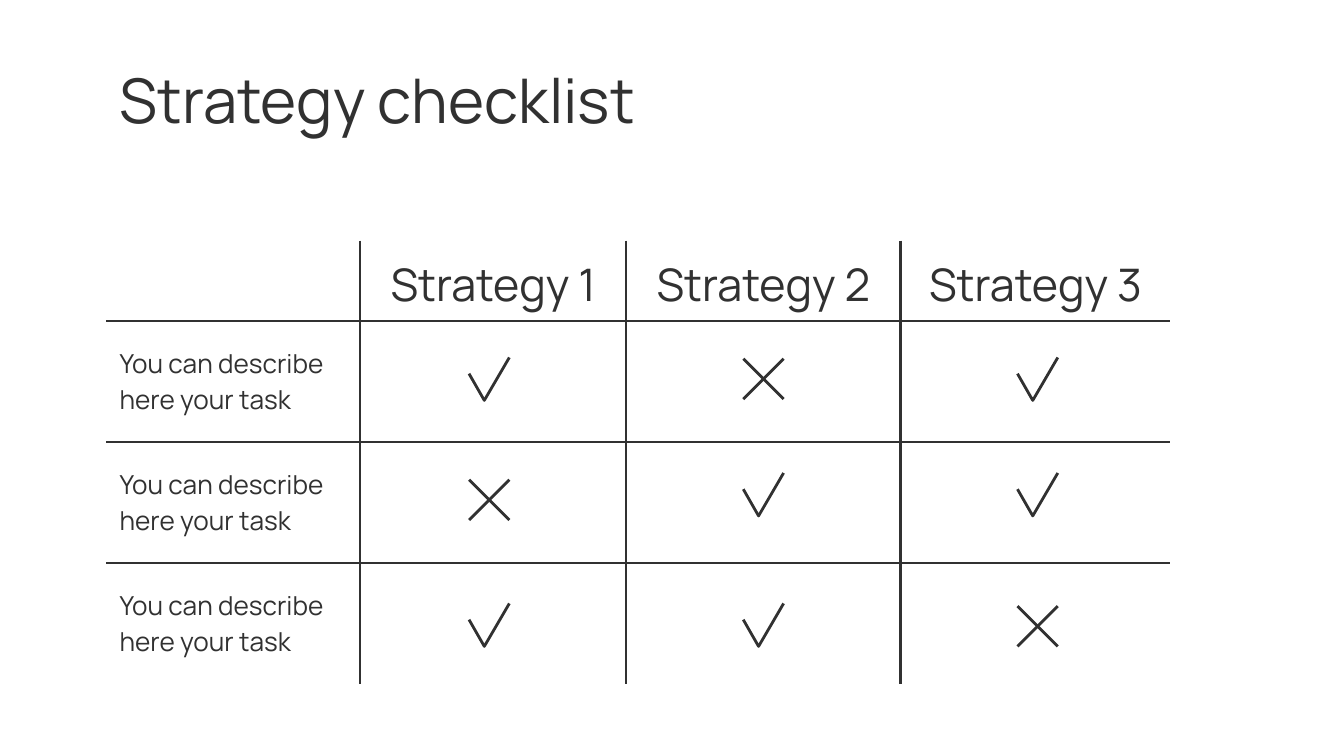
from lxml.etree import SubElement
from pptx import Presentation
from pptx.dml.color import RGBColor
from pptx.enum.shapes import MSO_CONNECTOR
from pptx.enum.text import MSO_ANCHOR, PP_ALIGN
from pptx.oxml.ns import qn
from pptx.util import Pt

COLORS = {"ink": "313131", "paper": "FFFFFF"}
FONT = "Manrope"
LINE_WIDTH = 1.5
INSET = 7.2
NO_STYLE = "{2D5ABB26-0587-4C30-8999-92F81FD0307C}"

TASK = "You can describe here your task"
ROWS = [
    ["", "Strategy 1", "Strategy 2", "Strategy 3"],
    [TASK, "", "", ""],
    [TASK, "", "", ""],
    [TASK, "", "", ""],
]
COLUMN_WIDTHS = [136.1, 142.5, 147, 144.6]
ROW_HEIGHTS = [41.8, 64.8, 64.8, 64.8]

MARK_SIZE = 21.6
MARK_LEFT, MARK_PITCH = 251.3, 146.9
# For each task: top of its ticks, top of its crosses, result per strategy
RESULTS = [
    (191.5, 192.2, [True, False, True]),
    (253.4, 257, [False, True, True]),
    (323.3, 324.7, [True, True, False]),
]


def write(frame, text, size, align=PP_ALIGN.LEFT):
    para = frame.paragraphs[0]
    para.alignment = align
    span = para.add_run()
    span.text = text
    for name, value in {"name": FONT, "size": Pt(size)}.items():
        setattr(span.font, name, value)
    span.font.color.rgb = RGBColor.from_string(COLORS["ink"])


def add_title(page, left, top, width, height):
    box = page.shapes.add_textbox(Pt(left), Pt(top), Pt(width), Pt(height))
    frame = box.text_frame
    formats = {"word_wrap": True, "vertical_anchor": MSO_ANCHOR.MIDDLE}
    formats.update({f"margin_{side}": Pt(INSET) for side in ("left", "right", "top", "bottom")})
    for name, value in formats.items():
        setattr(frame, name, value)
    write(frame, "Strategy checklist", 33)


def add_borders(cell, sides):
    properties = cell._tc.get_or_add_tcPr()
    for side in sides:
        line = SubElement(properties, qn(f"a:ln{side}"), w=str(Pt(LINE_WIDTH)))
        fill = SubElement(line, qn("a:solidFill"))
        SubElement(fill, qn("a:srgbClr"), val=COLORS["ink"])


def add_checklist(page, left, top):
    """Place the table with rules between its cells and none around it."""
    width, height = sum(COLUMN_WIDTHS), sum(ROW_HEIGHTS)
    last_row, last_column = len(ROWS) - 1, len(COLUMN_WIDTHS) - 1
    table = page.shapes.add_table(
        len(ROWS), len(COLUMN_WIDTHS), Pt(left), Pt(top), Pt(width), Pt(height)
    ).table
    table.first_row = table.horz_banding = False
    table._tbl.tblPr.find(qn("a:tableStyleId")).text = NO_STYLE
    for column, column_width in zip(table.columns, COLUMN_WIDTHS):
        column.width = Pt(column_width)
    for row, row_height in zip(table.rows, ROW_HEIGHTS):
        row.height = Pt(row_height)

    formats = {"vertical_anchor": MSO_ANCHOR.MIDDLE}
    formats.update({f"margin_{side}": Pt(INSET) for side in ("left", "right", "top", "bottom")})
    for r, texts in enumerate(ROWS):
        for c, text in enumerate(texts):
            cell = table.cell(r, c)
            for name, value in formats.items():
                setattr(cell, name, value)
            inner = {"L": c > 0, "R": c < last_column, "T": r > 0, "B": r < last_row}
            add_borders(cell, [side for side, shown in inner.items() if shown])
            cell.fill.background()
            if text and r == 0:
                write(cell.text_frame, text, 24, PP_ALIGN.CENTER)
            elif text:
                write(cell.text_frame, text, 14)


def set_line(shape):
    shape.line.color.rgb = RGBColor.from_string(COLORS["ink"])
    shape.line.width = Pt(LINE_WIDTH)


def add_tick(page, left, top):
    builder = page.shapes.build_freeform(Pt(left), Pt(top + 8.7))
    points = [(left + 8.2, top + 23), (left + MARK_SIZE, top)]
    builder.add_line_segments([(Pt(x), Pt(y)) for x, y in points], close=False)
    tick = builder.convert_to_shape()
    tick.shadow.inherit = False
    tick.fill.background()
    set_line(tick)


def add_cross(page, left, top):
    group = page.shapes.add_group_shape()
    right, bottom = left + MARK_SIZE, top + MARK_SIZE
    for start, end in ((left, right), (right, left)):
        stroke = group.shapes.add_connector(
            MSO_CONNECTOR.STRAIGHT, Pt(start), Pt(top), Pt(end), Pt(bottom)
        )
        set_line(stroke)
        SubElement(stroke._element.spPr, qn("a:effectLst"))


def add_marks(page, left, pitch):
    for tick_top, cross_top, results in RESULTS:
        for index, passed in enumerate(results):
            mark_left = left + index * pitch
            if passed:
                add_tick(page, mark_left, tick_top)
            else:
                add_cross(page, mark_left, cross_top)


def main():
    deck = Presentation()
    deck.slide_width, deck.slide_height = Pt(720), Pt(405)
    page = deck.slides.add_slide(deck.slide_layouts[6])
    page.background.fill.solid()
    page.background.fill.fore_color.rgb = RGBColor.from_string(COLORS["paper"])
    add_title(page, 56.9, 30.4, 500, 45.1)
    add_checklist(page, 56.9, 128.9)
    add_marks(page, MARK_LEFT, MARK_PITCH)
    deck.save("out.pptx")


if __name__ == "__main__":
    main()
